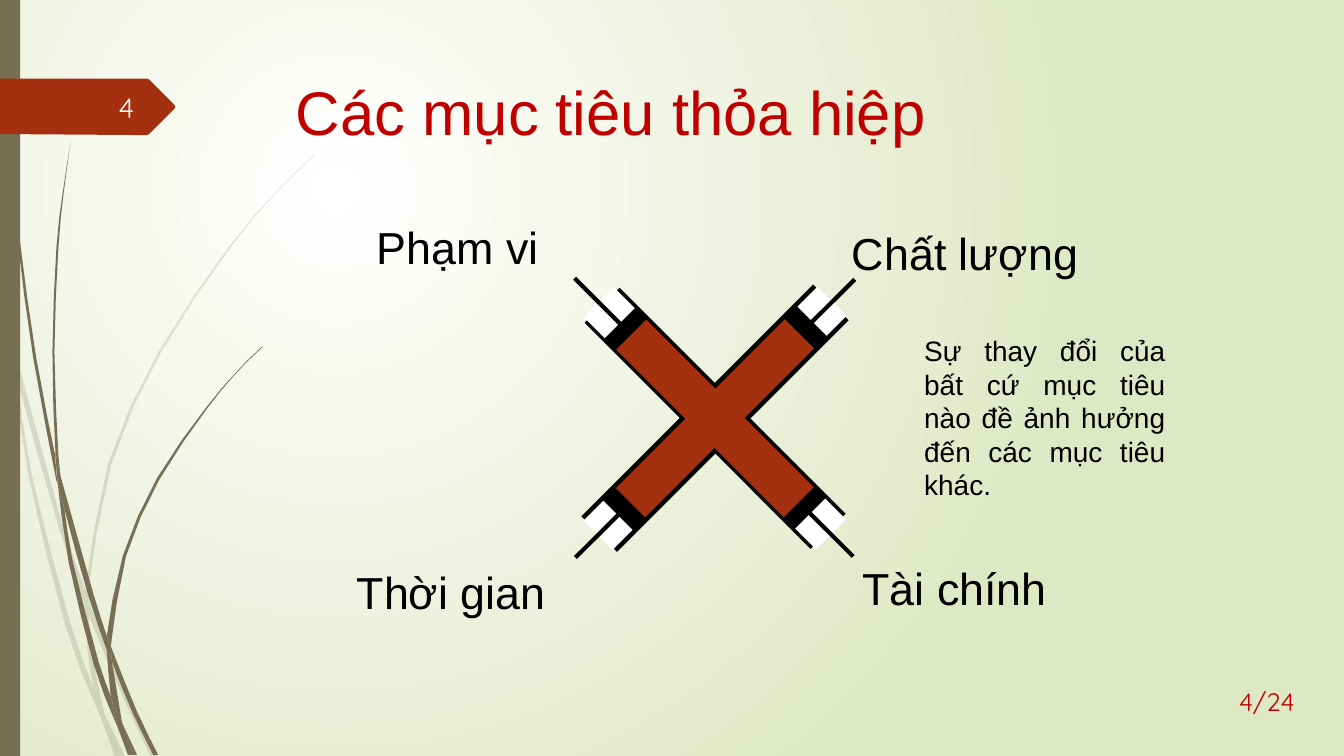
from math import cos, hypot, radians

from lxml.etree import SubElement
from pptx import Presentation
from pptx.dml.color import RGBColor
from pptx.enum.shapes import MSO_CONNECTOR as Link, MSO_SHAPE as Form
from pptx.enum.text import MSO_ANCHOR as Anchor, PP_ALIGN as Align
from pptx.oxml.ns import qn
from pptx.util import Cm, Pt

COLORS = {
    "white": "FFFFFF", "black": "000000", "olive": "766F54", "mist": "DFE8C4",
    "rust": "A53010", "red": "C00000", "number": "FEFFFF",
}

# Outlines as (x, y) corners, in grid steps
STEP = Cm(0.0254)
PALE_GRASS = [
    [(11, 350), (9, 322), (0, 282), (0, 299), (10, 344)],
    [(58, 522), (84, 599), (85, 586), (62, 520), (14, 345), (17, 376)],
    [(92, 607), (88, 596), (88, 610), (123, 694), (150, 751), (155, 751), (127, 692)],
    [(119, 751), (124, 751), (105, 711)],
    [(93, 683), (70, 619), (31, 469), (17, 376), (11, 350), (28, 470), (65, 621), (92, 693),
     (101, 714), (99, 707)],
    [(84, 599), (87, 646), (93, 683), (96, 692), (105, 711), (103, 706), (91, 646), (88, 610),
     (88, 608)],
    [(88, 584), (110, 462), (160, 349), (229, 245), (268, 198), (290, 175), (312, 154), (312, 153),
     (289, 175), (268, 197), (228, 244), (158, 348), (107, 461), (85, 584), (85, 586), (88, 596)],
    [(101, 714), (114, 751), (119, 751)],
    [(88, 608), (88, 610), (88, 596), (85, 586), (84, 599)],
    [(96, 692), (93, 683), (99, 707), (101, 714), (119, 751), (105, 711)],
]
DARK_GRASS = [
    [(7, 110), (17, 233), (33, 355), (56, 477), (57, 481), (55, 457), (55, 453), (36, 355),
     (19, 232), (8, 109), (5, 48), (4, 0), (3, 0), (4, 48)],
    [(88, 592), (106, 645), (106, 633), (106, 631), (93, 590), (60, 472), (64, 505)],
    [(113, 649), (110, 641), (111, 656), (132, 708), (152, 749), (157, 749), (136, 706)],
    [(110, 691), (98, 657), (72, 556), (64, 505), (57, 477), (68, 557), (93, 659), (111, 708),
     (117, 722), (116, 717)],
    [(60, 472), (58, 453), (54, 349), (58, 245), (63, 193), (70, 141), (62, 193), (56, 245),
     (52, 349), (55, 449)],
    [(133, 749), (136, 749), (122, 719)],
    [(57, 477), (64, 505), (60, 472), (55, 449), (55, 453)],
    [(111, 633), (125, 552), (158, 476), (205, 406), (231, 374), (245, 359), (261, 344), (260, 344),
     (245, 358), (231, 373), (204, 405), (156, 474), (122, 551), (106, 631), (110, 641)],
    [(117, 722), (127, 749), (131, 749)],
    [(106, 645), (110, 691), (116, 706), (122, 719), (121, 716), (111, 656), (109, 651)],
    [(106, 645), (109, 651), (111, 656), (110, 641), (106, 631), (106, 633)],
    [(116, 706), (110, 691), (116, 717), (117, 722), (130, 749), (133, 749), (122, 719)],
]
BADGE = [(0, 78), (146, 78), (148, 79), (173, 104), (174, 106), (173, 108), (148, 133),
         (146, 134), (136, 134), (0, 133)]

# Crossed arms: layer lengths and thicknesses
CENTRE = (18.02, 10.54)
ARMS = [
    {"turn": 315, "rod": (14.5, 14.05, 21.54, 7.04),
     "frame": (8.1, 1.11), "sleeve": (8.33, 1.04), "collar": (6.91, 1.09)},
    {"turn": 225, "rod": (21.5, 14.02, 14.48, 7.01),
     "frame": (7.9, 1.09), "sleeve": (8.28, 1.07), "collar": (6.78, 1.09)},
]
CORES = [(225, 5.97, 1.07), (315, 6.02, 1.04)]

# Corner labels: text, left, top, width
LABELS = [
    ("Thời gian", 8.74, 14.11, 5.77),
    ("Chất lượng", 21.22, 5.56, 6.65),
    ("Phạm vi", 9.25, 5.41, 5.51),
    ("Tài chính", 21.49, 14.0, 5.18),
]


def rgb(name):
    return RGBColor.from_string(COLORS[name])


def gentle(a, b, c):
    """Tells whether the outline bends only slightly at b."""
    (ux, uy), (vx, vy) = (b[0] - a[0], b[1] - a[1]), (c[0] - b[0], c[1] - b[1])
    return ux * vx + uy * vy > cos(radians(40)) * hypot(ux, uy) * hypot(vx, vy)


def rounded(corners):
    """Adds a curved midpoint to each long edge."""
    points = []
    for i, q in enumerate(corners):
        p, r, s = (corners[(i + k) % len(corners)] for k in (-1, 1, 2))
        points.append(q)
        if hypot(r[0] - q[0], r[1] - q[1]) > 30:
            p = p if gentle(p, q, r) else q
            s = s if gentle(q, r, s) else r
            points.append(tuple((9 * (m + n) - k - o) / 16 for k, m, n, o in zip(p, q, r, s)))
    return points


class Painter:
    def __init__(self, page, font):
        self.page, self.font = page, font

    def background(self, inner, outer):
        fill = self.page.background.fill
        fill.gradient()
        for stop, name, position in zip(fill.gradient_stops, (inner, outer), (0, 1)):
            stop.color.rgb, stop.position = rgb(name), position
        gradient = next(self.page.element.iter(qn("a:gradFill")))
        gradient.remove(gradient.find(qn("a:lin")))
        circle = SubElement(gradient, qn("a:path"), path="circle")
        SubElement(circle, qn("a:fillToRect"), l="50000", t="50000", r="100000", b="100000")

    def paint(self, shape, fill, line=None, alpha=None):
        shape.shadow.inherit = False
        shape.fill.solid()
        shape.fill.fore_color.rgb = rgb(fill)
        if alpha:
            color = shape.element.spPr.find(qn("a:solidFill"))[0]
            SubElement(color, qn("a:alpha"), val=str(alpha * 1000))
        if line:
            shape.line.color.rgb, shape.line.width = rgb("black"), Pt(line)
            SubElement(shape.element.spPr.find(qn("a:ln")), qn("a:miter"), lim="800000")
        else:
            shape.line.fill.background()

    def block(self, box, fill, line=None, turn=0):
        block = self.page.shapes.add_shape(Form.RECTANGLE, *map(Cm, box))
        self.paint(block, fill, line)
        block.rotation = turn

    def arm(self, turn, length, thickness, fill, line=None):
        x, y = CENTRE
        self.block((x - length / 2, y - thickness / 2, length, thickness), fill, line, turn)

    def rod(self, ends):
        rod = self.page.shapes.add_connector(Link.STRAIGHT, *map(Cm, ends))
        rod.line.color.rgb, rod.line.width = rgb("black"), Pt(3)
        SubElement(rod.element.spPr, qn("a:effectLst"))

    def outline(self, corners, fill, alpha=None):
        start, *others = [(x * STEP, y * STEP) for x, y in rounded(corners)]
        builder = self.page.shapes.build_freeform(*start)
        builder.add_line_segments(others, close=True)
        self.paint(builder.convert_to_shape(), fill, alpha=alpha)

    def text(self, words, box, size, color="black", font=None, align=Align.LEFT,
             anchor=Anchor.TOP):
        frame = self.page.shapes.add_textbox(*map(Cm, box)).text_frame
        frame.word_wrap, frame.vertical_anchor = True, anchor
        para = frame.paragraphs[0]
        para.alignment = align
        span = para.add_run()
        span.text = words
        for key, value in {"name": font or self.font, "size": Pt(size)}.items():
            setattr(span.font, key, value)
        span.font.color.rgb = rgb(color)


def main():
    deck = Presentation()
    deck.slide_width, deck.slide_height = Cm(33.87), Cm(19.05)
    painter = Painter(deck.slides.add_slide(deck.slide_layouts[6]), "Arial")

    # Backdrop
    painter.background("white", "mist")
    for grass, alpha in ((PALE_GRASS, 20), (DARK_GRASS, None)):
        for corners in grass:
            painter.outline(corners, "olive", alpha)
    painter.block((0, 0, 0.51, 19.05), "olive")
    painter.outline(BADGE, "rust")

    # Title
    painter.text("Các mục tiêu thỏa hiệp", (7.21, 1.73, 24.77, 3.56), 44, "red")

    # Crossed arms
    for arm in ARMS:
        turn = arm["turn"]
        painter.arm(turn, *arm["frame"], "white", line=4.5)
        painter.arm(turn, *arm["sleeve"], "white")
        painter.arm(turn, *arm["collar"], "black")
        painter.rod(arm["rod"])
    for core in CORES:
        painter.arm(*core, "rust")

    # Labels and remark
    for words, left, top, width in LABELS:
        painter.text(words, (left, top, width, 1.63), 32)
    painter.text("Sự thay đổi của bất cứ mục tiêu nào đề ảnh hưởng đến các mục tiêu khác.",
                 (23.04, 8.28, 6.58, 4.52), 20, align=Align.JUSTIFY)

    # Page numbers
    painter.text("4", (1.47, 2.2, 2.16, 1.02), 20, "number", "Quicksand",
                 Align.RIGHT, Anchor.MIDDLE)
    painter.text("4/24", (30.98, 17.17, 2.31, 1.02), 18, "red", "Quicksand")

    deck.save("out.pptx")


if __name__ == "__main__":
    main()
